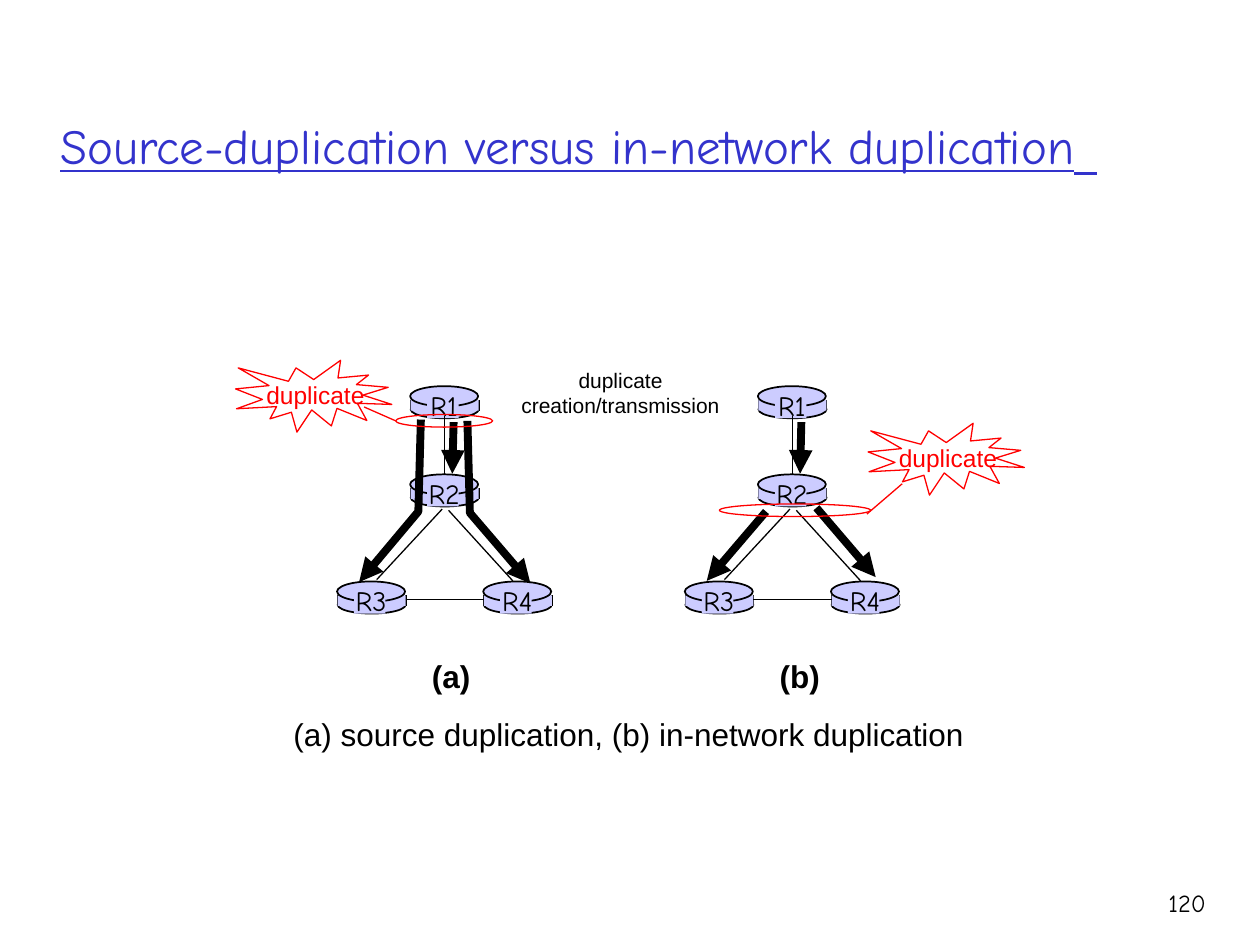
from lxml import etree
from pptx import Presentation, util as u
from pptx.dml.color import RGBColor
from pptx.enum import shapes, text
from pptx.oxml.ns import qn

COLORS = {"ink": "000000", "router": "CCCCFF", "alert": "FF0000", "title": "3333CC"}
SANS, HAND = "Arial", "Comic Neue"
COLUMNS, ROWS = 100, 75
PANEL_SHIFT = 27.6
KINDS = shapes.MSO_SHAPE
ALIGN = text.PP_ALIGN

# Left and top of each router within the first panel
ROUTERS = {"R1": (32.6, 30.65), "R2": (32.6, 37.65), "R3": (26.8, 46.15), "R4": (38.4, 46.15)}
LINKS = [
    ((35.3, 33), (35.3, 37.7)),
    ((35.1, 40.4), (29.9, 46)),
    ((35.6, 40.5), (40.7, 46.1)),
    ((32.2, 47.6), (38.4, 47.6)),
]


class Sketch:
    """Draws on one slide; lengths are grid columns and rows, shifted by self.shift."""

    def __init__(self, deck):
        self.slide = deck.slides.add_slide(deck.slide_layouts[6])
        self.column = deck.slide_width / COLUMNS
        self.row = deck.slide_height / ROWS
        self.shift = 0

    def x(self, columns):
        return round((columns + self.shift) * self.column)

    def y(self, rows):
        return round(rows * self.row)

    def frame(self, left, top, width, height):
        return self.x(left), self.y(top), round(width * self.column), self.y(height)

    def color(self, name):
        return RGBColor.from_string(COLORS[name])

    def stroke(self, item, color, weight, arrow=False):
        item.line.color.rgb = self.color(color)
        item.line.width = u.Pt(weight)
        if arrow:
            line = item.line._get_or_add_ln()
            etree.SubElement(line, qn("a:tailEnd"), type="triangle")

    def shape(self, kind, frame, fill=None, line=None, weight=1):
        shape = self.slide.shapes.add_shape(kind, *self.frame(*frame))
        shape.shadow.inherit = False
        if fill:
            shape.fill.solid()
            shape.fill.fore_color.rgb = self.color(fill)
        else:
            shape.fill.background()
        if line:
            self.stroke(shape, line, weight)
        else:
            shape.line.fill.background()

    def line(self, start, end, color="ink", weight=0.75, arrow=False):
        connector = self.slide.shapes.add_connector(
            shapes.MSO_CONNECTOR.STRAIGHT,
            self.x(start[0]), self.y(start[1]), self.x(end[0]), self.y(end[1]))
        self.stroke(connector, color, weight, arrow)
        etree.SubElement(connector._element.spPr, qn("a:effectLst"))

    def flow(self, *points):
        """Heavy open path that ends in an arrowhead."""
        start, *rest = [(self.x(column), self.y(row)) for column, row in points]
        builder = self.slide.shapes.build_freeform(*start)
        builder.add_line_segments(rest, close=False)
        path = builder.convert_to_shape()
        path.shadow.inherit = False
        path.fill.background()
        self.stroke(path, "ink", 4.5, arrow=True)

    def text(self, lines, frame, size, font=SANS, color="ink", align=ALIGN.LEFT,
             bold=False, wrap=False):
        box = self.slide.shapes.add_textbox(*self.frame(*frame)).text_frame
        box.word_wrap = wrap
        if not wrap:
            box.auto_size = text.MSO_AUTO_SIZE.SHAPE_TO_FIT_TEXT
        box.text = lines
        for para in box.paragraphs:
            para.alignment = align
            para.font.size = u.Pt(size)
            para.font.name = font
            para.font.bold = bold
            para.font.color.rgb = self.color(color)
        return box

    def title(self, words):
        box = self.text(words, (3.8, 4.6, 92.4, 12.5), 28, HAND, "title", wrap=True)
        box.vertical_anchor = text.MSO_ANCHOR.MIDDLE
        para = box.paragraphs[0]
        para.font.underline = True
        span = para.add_run()
        span.text = " "
        span.font.size = u.Pt(40)

    def router(self, name, left, top):
        side_top, side_bottom = top + 1.1, top + 1.95
        self.shape(KINDS.OVAL, (left, top + 1.15, 5.4, 1.4), "router", "ink")
        for edge in (left, left + 5.4):
            self.line((edge, side_top), (edge, side_bottom), weight=1)
        self.shape(KINDS.RECTANGLE, (left, side_top, 5.4, 0.85), "router")
        self.shape(KINDS.OVAL, (left - 0.05, top, 5.4, 1.6), "router", "ink")
        self.shape(KINDS.RECTANGLE, (left + 1.3, top + 0.25, 2.5, 2.3), "router")
        self.text(name, (left + 0.1, top - 0.3, 5.1, 3.7), 16, HAND, align=ALIGN.CENTER)

    def panel(self, label, shift, flows):
        self.shift = shift
        for name, place in ROUTERS.items():
            self.router(name, *place)
        for start, end in LINKS:
            self.line(start, end)
        self.text(label, (33.3, 51.65, 6, 4), 18, bold=True)
        self.line((36, 33.5), (35.9, 37.6), weight=4.5, arrow=True)
        for points in flows:
            self.flow(*points)
        self.shift = 0

    def duplicate_callout(self, left, top, ring, start, end):
        self.shape(KINDS.EXPLOSION1, (left, top, 12.4, 5.7), line="alert", weight=0.75)
        self.text("duplicate", (left + 1.45, top + 1.05, 10.5, 3.4), 14, color="alert")
        self.shape(KINDS.OVAL, ring, line="alert", weight=0.75)
        self.line(start, end, "alert")


def main():
    deck = Presentation()
    deck.slide_width, deck.slide_height = u.Inches(10), u.Inches(7.5)
    sketch = Sketch(deck)

    sketch.text("(a) source duplication, (b) in-network duplication",
                (21.8, 56.25, 56.2, 4), 18, align=ALIGN.CENTER)
    sketch.panel("(a)", 0, [
        [(37.1, 33.4), (37.3, 40.7), (42.1, 46.3)],
        [(33.4, 33.3), (33.2, 40.6), (28.5, 46.2)],
    ])
    sketch.panel("(b)", PANEL_SHIFT, [
        [(37.2, 40.3), (41.9, 45.8)],
        [(33.2, 40.6), (28.5, 46.1)],
    ])
    sketch.text("duplicate\ncreation/transmission", (39.7, 28.7, 19.1, 5), 12,
                align=ALIGN.CENTER)
    sketch.duplicate_callout(18.7, 28.6, (31.4, 32.9, 7.7, 1), (31.4, 33.4), (28.9, 32.3))
    sketch.duplicate_callout(68.9, 33.6, (57.1, 40, 12, 1), (71.6, 38.4), (68.8, 40.8))
    sketch.title("Source-duplication versus in-network duplication")
    sketch.text("120", (89.3, 70, 7.4, 5), 14, HAND, align=ALIGN.RIGHT, wrap=True)
    deck.save("out.pptx")


if __name__ == "__main__":
    main()
